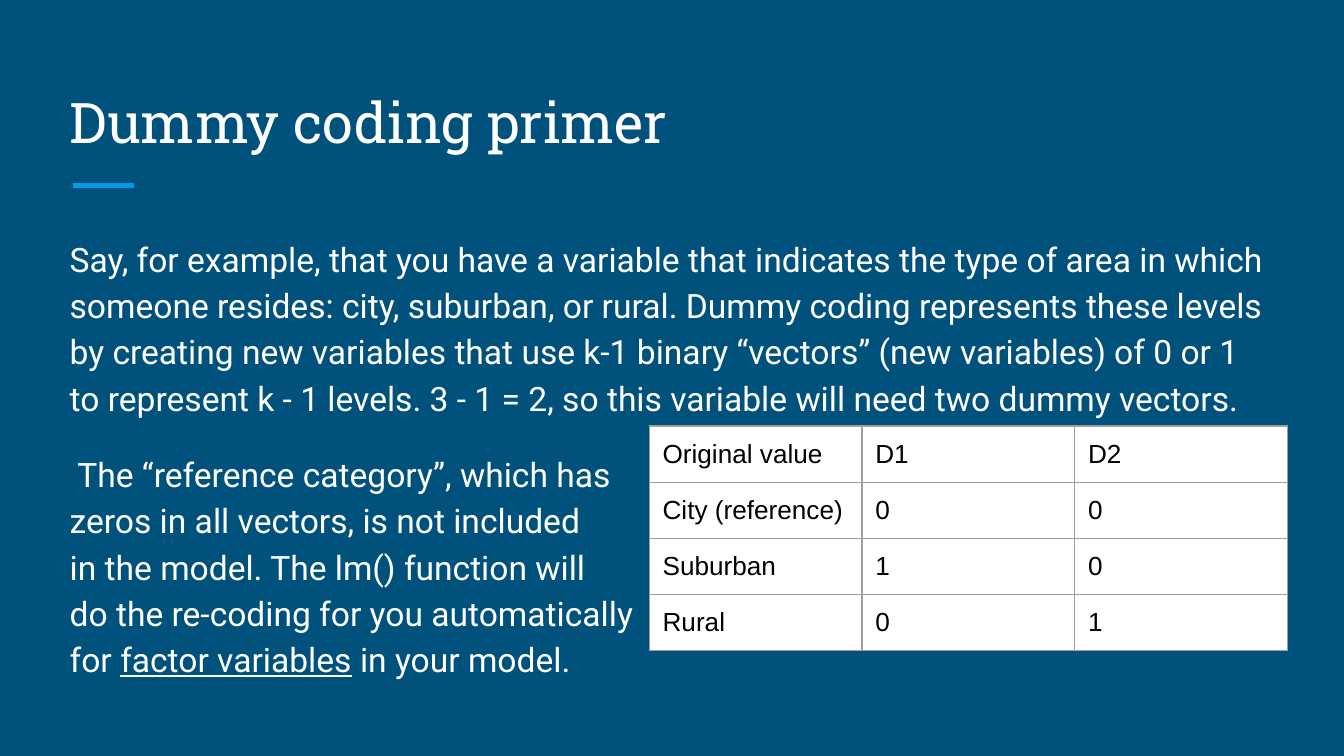
from dataclasses import dataclass

from lxml.etree import SubElement as Sub
from pptx import Presentation
from pptx.dml.color import RGBColor as Rgb
from pptx.enum.shapes import MSO_CONNECTOR as Link
from pptx.enum.text import MSO_ANCHOR as Anchor, MSO_AUTO_SIZE as Auto, PP_ALIGN as Align
from pptx.oxml.ns import qn
from pptx.util import Inches, Pt


@dataclass(frozen=True)
class Theme:
    """Colours, fonts and type sizes of the slide."""
    back: str = "00517C"
    light: str = "FFFFFF"
    dark: str = "000000"
    accent: str = "039BE5"
    grid: str = "9E9E9E"
    head: str = "Roboto Slab"
    body: str = "Roboto"
    cell: str = "Arial"
    big: int = 30
    mid: int = 18
    small: int = 14


THEME = Theme()
INTRO = (
    "Say, for example, that you have a variable that indicates the type of area "
    "in which someone resides: city, suburban, or rural. Dummy coding represents "
    "these levels by creating new variables that use k-1 binary “vectors” (new "
    "variables) of 0 or 1 to represent k - 1 levels. 3 - 1 = 2, so this variable "
    "will need two dummy vectors."
)
NOTE = (
    " The “reference category”, which has\n"
    "zeros in all vectors, is not included\n"
    "in the model. The lm() function will\n"
    "do the re-coding for you automatically\n"
    "for "
)
CODES = [
    ("Original value", "D1", "D2"),
    ("City (reference)", "0", "0"),
    ("Suburban", "1", "0"),
    ("Rural", "0", "1"),
]


def write(para, text, font, size, color, under=False, **layout):
    """Add text to a paragraph; layout names paragraph properties."""
    for name, value in layout.items():
        setattr(para, name, value)
    for num, line in enumerate(text.split("\n")):
        if num:
            para.add_line_break()
        run = para.add_run()
        run.text = line
        run.font.name = font
        run.font.size = Pt(size)
        run.font.color.rgb = Rgb.from_string(color)
        if under:
            run.font.underline = True


def pad(item, low=0.1):
    """Set the margins of a text frame or a cell; low is the bottom one."""
    for side in ("left", "top", "right"):
        setattr(item, f"margin_{side}", Inches(0.1))
    item.margin_bottom = Inches(low)


def add_title(slide, left, top, width, height):
    """Place the title and the short rule below it."""
    title = slide.shapes.title
    title.left, title.top = Inches(left), Inches(top)
    title.width, title.height = Inches(width), Inches(height)
    frame = title.text_frame
    frame.word_wrap, frame.auto_size = True, Auto.NONE
    frame.vertical_anchor = Anchor.BOTTOM
    pad(frame)
    write(frame.paragraphs[0], "Dummy coding primer", THEME.head, THEME.big,
          THEME.light, alignment=Align.LEFT)

    start, level = left + 0.12, top + height + 0.13
    rule = slide.shapes.add_connector(
        Link.STRAIGHT, Inches(start), Inches(level),
        Inches(start + 0.46), Inches(level))
    rule.line.color.rgb = Rgb.from_string(THEME.accent)
    rule.line.width = Pt(3)
    Sub(rule._element.spPr, qn("a:effectLst"))


def add_body(slide, left, top, width, height):
    """Place the two paragraphs of explanation."""
    box = slide.shapes.add_textbox(
        Inches(left), Inches(top), Inches(width), Inches(height))
    frame = box.text_frame
    frame.word_wrap = True
    pad(frame)
    style = dict(font=THEME.body, size=THEME.mid, color=THEME.light)
    write(frame.paragraphs[0], INTRO, line_spacing=1.15, **style)
    note = frame.add_paragraph()
    write(note, NOTE, line_spacing=1.15, space_before=Pt(16),
          space_after=Pt(16), **style)
    write(note, "factor variables", under=True, **style)
    write(note, " in your model.", **style)


def edge(cell):
    """Draw thin lines on all four sides of a cell."""
    props = cell._tc.get_or_add_tcPr()
    for side in "LRTB":
        line = Sub(props, qn(f"a:ln{side}"), w=str(Pt(0.75)))
        fill = Sub(line, qn("a:solidFill"))
        Sub(fill, qn("a:srgbClr"), val=THEME.grid)


def add_codes(slide, left, top, width, height):
    """Place the table of dummy codes."""
    rows, cols = len(CODES), len(CODES[0])
    table = slide.shapes.add_table(
        rows, cols, Inches(left), Inches(top),
        Inches(width), Inches(height)).table
    table.first_row = table.horz_banding = False
    for row, texts in enumerate(CODES):
        for col, text in enumerate(texts):
            cell = table.cell(row, col)
            pad(cell, low=0.08)
            edge(cell)
            cell.fill.solid()
            cell.fill.fore_color.rgb = Rgb.from_string(THEME.light)
            write(cell.text_frame.paragraphs[0], text, THEME.cell,
                  THEME.small, THEME.dark)


def main():
    """Build and save the slide."""
    deck = Presentation()
    deck.slide_width = Inches(10)
    deck.slide_height = deck.slide_width * 9 // 16
    slide = deck.slides.add_slide(deck.slide_layouts[5])
    slide.background.fill.solid()
    slide.background.fill.fore_color.rgb = Rgb.from_string(THEME.back)
    add_title(slide, 0.42, 0.5, 9.15, 0.75)
    add_body(slide, 0.42, 1.63, 9.15, 3.37)
    add_codes(slide, 4.83, 3.17, 4.75, 1.67)
    deck.save("out.pptx")


main()
